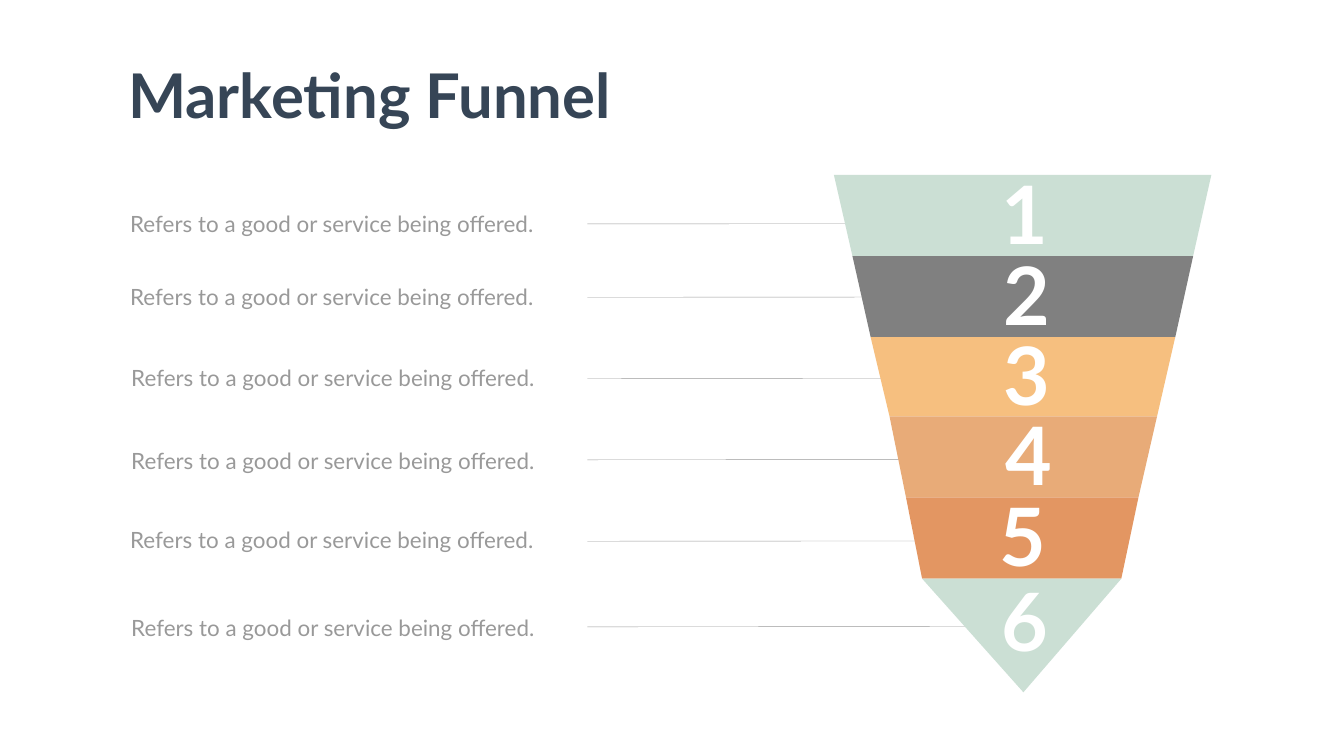
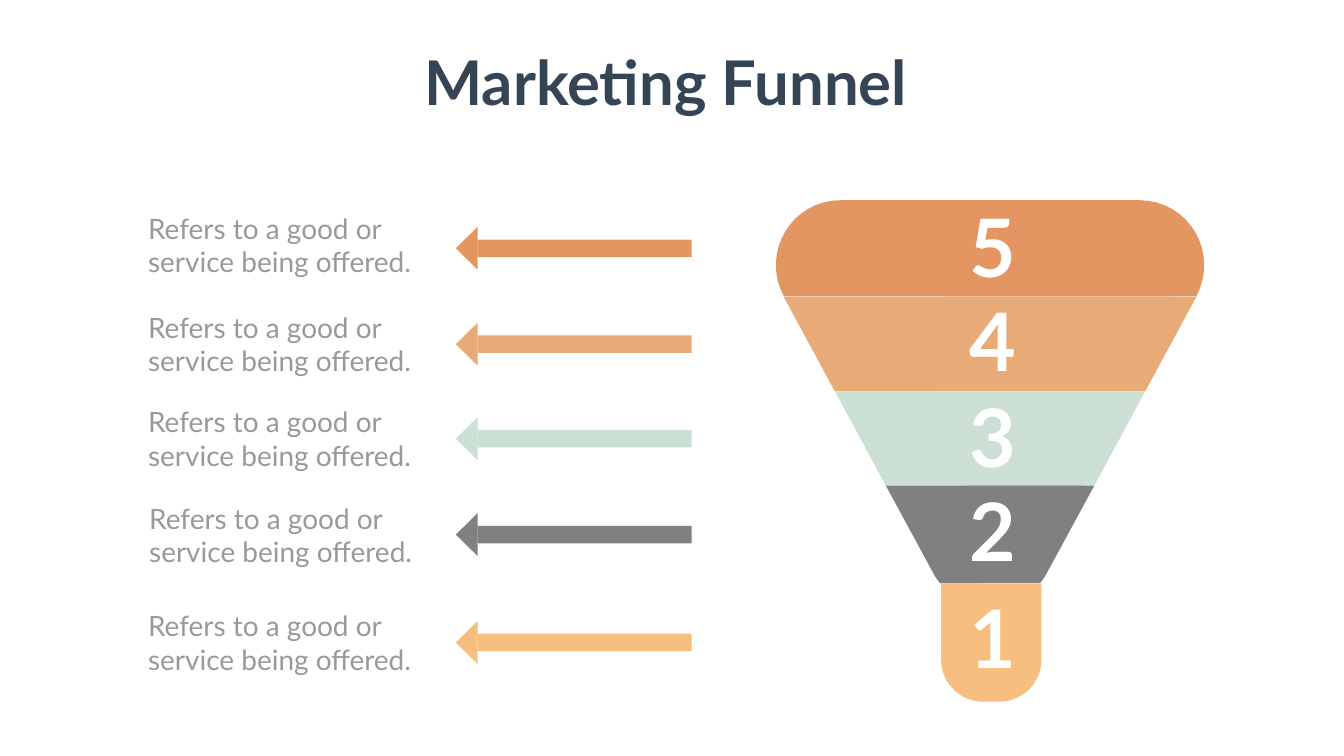
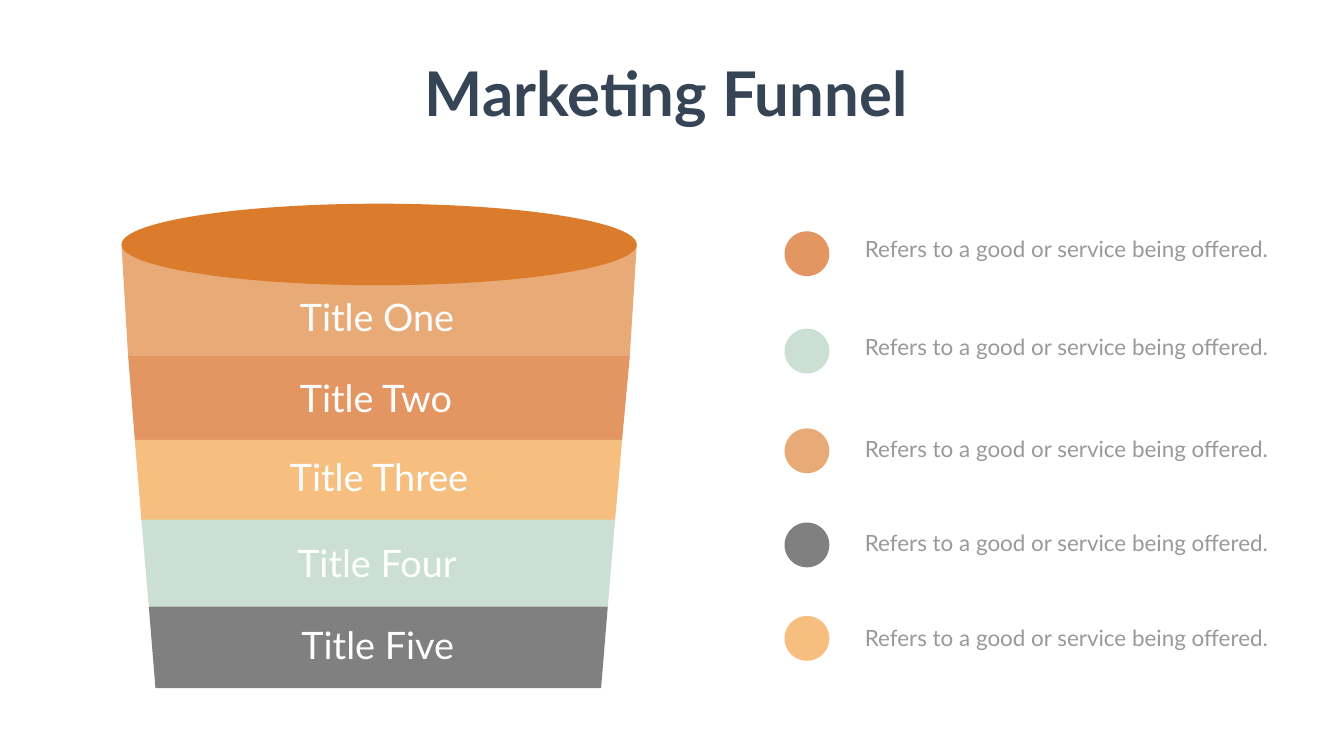
from lxml import etree
from pptx import Presentation
from pptx.dml.color import RGBColor
from pptx.enum.shapes import MSO_CONNECTOR, MSO_SHAPE
from pptx.enum.text import MSO_ANCHOR, MSO_AUTO_SIZE, PP_ALIGN
from pptx.oxml.ns import qn
from pptx.util import Pt

LEFT, CENTER = PP_ALIGN.LEFT, PP_ALIGN.CENTER
STRAIGHT = MSO_CONNECTOR.STRAIGHT
OVAL, RECTANGLE = MSO_SHAPE.OVAL, MSO_SHAPE.RECTANGLE
ROUNDED_PAIR = MSO_SHAPE.ROUND_2_SAME_RECTANGLE

# Shared style
FONT = "Lato"
NAVY, GREY_TEXT, WHITE, HAIRLINE = "364556", "999999", "FFFFFF", "F1F2F2"
MINT, GREY, YELLOW = "CBDFD4", "808080", "F6BF7F"
SAND, ORANGE, RIM = "E8AB78", "E39662", "DB7C2D"
TITLE = "Marketing Funnel"
DESCRIPTION = "Refers to a good or service being offered."
TWO_LINE_DESCRIPTION = "Refers to a good or\nservice being offered."
TITLE_ONLY = 5


def rgb(color):
    return RGBColor.from_string(color)


def place(shape, left, top, width, height):
    shape.left, shape.top = Pt(left), Pt(top)
    shape.width, shape.height = Pt(width), Pt(height)


def write_text(shape, text, *, size, color, bold=False, align=LEFT):
    frame = shape.text_frame
    frame.text = text
    frame.word_wrap = True
    frame.auto_size = MSO_AUTO_SIZE.NONE
    frame.vertical_anchor = MSO_ANCHOR.TOP
    for paragraph in frame.paragraphs:
        paragraph.alignment = align
        font = paragraph.font
        font.name, font.size, font.bold = FONT, Pt(size), bold
        font.color.rgb = rgb(color)


def add_text(slide, text, left, top, width, height, **style):
    box = slide.shapes.add_textbox(Pt(left), Pt(top), Pt(width), Pt(height))
    write_text(box, text, **style)


def add_titled_slide(prs, left, top):
    slide = prs.slides.add_slide(prs.slide_layouts[TITLE_ONLY])
    place(slide.shapes.title, left, top, 720.5, 114)
    write_text(slide.shapes.title, TITLE, size=88, color=NAVY, bold=True)
    return slide


def add_description(slide, left, top):
    add_text(slide, DESCRIPTION, left, top, 597, 46,
             size=32, color=GREY_TEXT, align=CENTER)


def add_number(slide, number, left, top):
    add_text(slide, str(number), left, top, 82, 147,
             size=115, color=WHITE, bold=True)


def paint(shape, color):
    shape.shadow.inherit = False
    shape.fill.solid()
    shape.fill.fore_color.rgb = rgb(color)
    shape.line.fill.background()


def add_preset(slide, kind, left, top, width, height, color, adjustments=()):
    shape = slide.shapes.add_shape(kind, Pt(left), Pt(top), Pt(width), Pt(height))
    for index, value in enumerate(adjustments):
        shape.adjustments[index] = value
    paint(shape, color)


def add_outline(slide, corners, color):
    points = [(Pt(x), Pt(y)) for x, y in corners]
    builder = slide.shapes.build_freeform(*points[0])
    builder.add_line_segments(points[1:], close=True)
    paint(builder.convert_to_shape(), color)


def add_mirrored_tier(slide, axis, left_side, color):
    right_side = [(2 * axis - x, y) for x, y in reversed(left_side)]
    add_outline(slide, left_side + right_side, color)


def add_tiers(slide, edges, colors):
    """Stack tiers between edges given as left, right and y."""
    for (left, right, top), (low_left, low_right, bottom), color in zip(
            edges, edges[1:], colors):
        add_outline(slide, [(left, top), (low_left, bottom),
                            (low_right, bottom), (right, top)], color)


def add_rule(slide, start, end, y, color, weight, drop=0):
    rule = slide.shapes.add_connector(
        STRAIGHT, Pt(start), Pt(y), Pt(end), Pt(y + drop))
    rule.line.color.rgb = rgb(color)
    rule.line.width = Pt(weight)
    etree.SubElement(rule._element.spPr, qn("a:effectLst"))


def add_arrow(slide, top, color):
    tip, neck, height, shaft = 651, 682, 61, 25
    middle = top + height / 2
    add_preset(slide, RECTANGLE, neck, middle - shaft / 2, 306, shaft, color)
    add_outline(slide, [(neck, top), (tip, middle), (neck, top + height)], color)


def curve(start, control1, control2, end, steps=16):
    """Points along a cubic Bezier curve."""
    points = []
    for step in range(steps + 1):
        t = step / steps
        weights = ((1 - t) ** 3, 3 * t * (1 - t) ** 2, 3 * t * t * (1 - t), t ** 3)
        points.append(tuple(
            sum(weight * value for weight, value in zip(weights, values))
            for values in zip(start, control1, control2, end)))
    return points


def build_pointed_funnel(prs):
    slide = add_titled_slide(prs, 176, 77)
    # Leader y, description left and top, number left and top
    stages = [
        (319.4, 175.5, 296.5, 1423, 231),
        (424.2, 175.5, 401, 1425.5, 347),
        (540.2, 177, 517, 1425.5, 461),
        (656.4, 177, 635, 1429, 574.5),
        (772.7, 175.5, 748, 1420.5, 690.5),
        (895, 177, 874, 1423.5, 812),
    ]
    for leader_y, *_ in stages:
        add_rule(slide, 1433.5, 838.8, leader_y, GREY_TEXT, 0.57, drop=0.5)
    edges = [(1191, 1730, 250), (1217.5, 1704, 366), (1243.5, 1678.5, 481.7),
             (1270.5, 1652.5, 595), (1294, 1626, 710.6),
             (1317, 1601.5, 826.7), (1461.6, 1461.6, 989)]
    add_tiers(slide, edges, [MINT, GREY, YELLOW, SAND, ORANGE, MINT])
    for number, (_, text_x, text_y, number_x, number_y) in enumerate(stages, 1):
        add_description(slide, text_x, text_y)
        add_number(slide, number, number_x, number_y)


def build_rounded_funnel(prs):
    slide = add_titled_slide(prs, 599, 59)
    axis = 1414

    # Rounded cap, straight tiers, neck and spout
    add_mirrored_tier(slide, axis, curve((1201, 286), (1130.5, 286),
                                         (1086, 360.5), (1119.5, 423.5)), ORANGE)
    add_tiers(slide, [(1119, 1709, 423.5), (1192.5, 1635.5, 559.2),
                      (1265, 1563, 693.5)], [SAND, MINT])
    neck = curve((1332, 817), (1335, 823), (1338.5, 828.5), (1343, 833.5), 4)
    add_mirrored_tier(slide, axis, [(1265, 693.5)] + neck, GREY)
    add_preset(slide, ROUNDED_PAIR, 1344, 833.5, 143.5, 169, YELLOW, (0, 0.42))

    # Dividers: a span across the funnel and a stub on each side
    dividers = [
        (1110, 1119, 1709, 1714.5, 423.3),
        (1189.5, 1192.5, 1635.5, 1637.5, 559.2),
        (1259.5, 1265, 1563, 1570.5, 693.3),
        (1337, 1343, 1488, 1495.5, 833.5),
    ]
    for *stops, y in dividers:
        for start, end in zip(stops, stops[1:]):
            add_rule(slide, end, start, y, HAIRLINE, 0.2, drop=0.3)

    # Number, colour, arrow top, description left and top, number top
    stages = [
        (5, ORANGE, 324.2, 204.5, 298, 278),
        (4, SAND, 461.2, 204.5, 439.6, 412.5),
        (3, MINT, 596.2, 204.5, 574.5, 549.5),
        (2, GREY, 733.2, 206, 712.6, 684),
        (1, YELLOW, 887.3, 204.5, 865.7, 836.5),
    ]
    for number, color, arrow_y, text_x, text_y, number_y in stages:
        add_arrow(slide, arrow_y, color)
        add_text(slide, TWO_LINE_DESCRIPTION, text_x, text_y, 397.5, 104.5,
                 size=40, color=GREY_TEXT)
        add_number(slide, number, 1378, number_y)


def build_bucket_funnel(prs):
    slide = add_titled_slide(prs, 599.5, 75.5)

    # Bucket with its rim
    edges = [(173.5, 909.5, 349), (183, 899.5, 508.8), (192.5, 888.5, 628.3),
             (202, 878.5, 742.5), (212.5, 868, 866.5), (222, 858.5, 983)]
    add_tiers(slide, edges, [SAND, ORANGE, YELLOW, MINT, GREY])
    add_preset(slide, OVAL, 173.5, 291, 736, 116.5, RIM)
    tier_labels = [
        ("Title One", 421.2, 415.5, 237.5),
        ("Title Two", 421.2, 532, 241),
        ("Title Three", 407, 645, 275),
        ("Title Four", 417.5, 768, 247),
        ("Title Five", 423.5, 885, 236),
    ]
    for label, left, top, width in tier_labels:
        add_text(slide, label, left, top, width, 72.5, size=54, color=WHITE)

    # Legend: colour, dot top, description top
    legend = [(ORANGE, 330.5, 332), (MINT, 469.5, 472.5), (SAND, 612, 618),
              (GREY, 746.5, 752), (YELLOW, 880, 888)]
    for color, dot_y, text_y in legend:
        add_preset(slide, OVAL, 1120.5, dot_y, 64, 64, color)
        add_description(slide, 1224.7, text_y)


def main():
    prs = Presentation()
    prs.slide_width, prs.slide_height = Pt(1919.5), Pt(1080)
    build_pointed_funnel(prs)
    build_rounded_funnel(prs)
    build_bucket_funnel(prs)
    prs.save("out.pptx")


if __name__ == "__main__":
    main()
